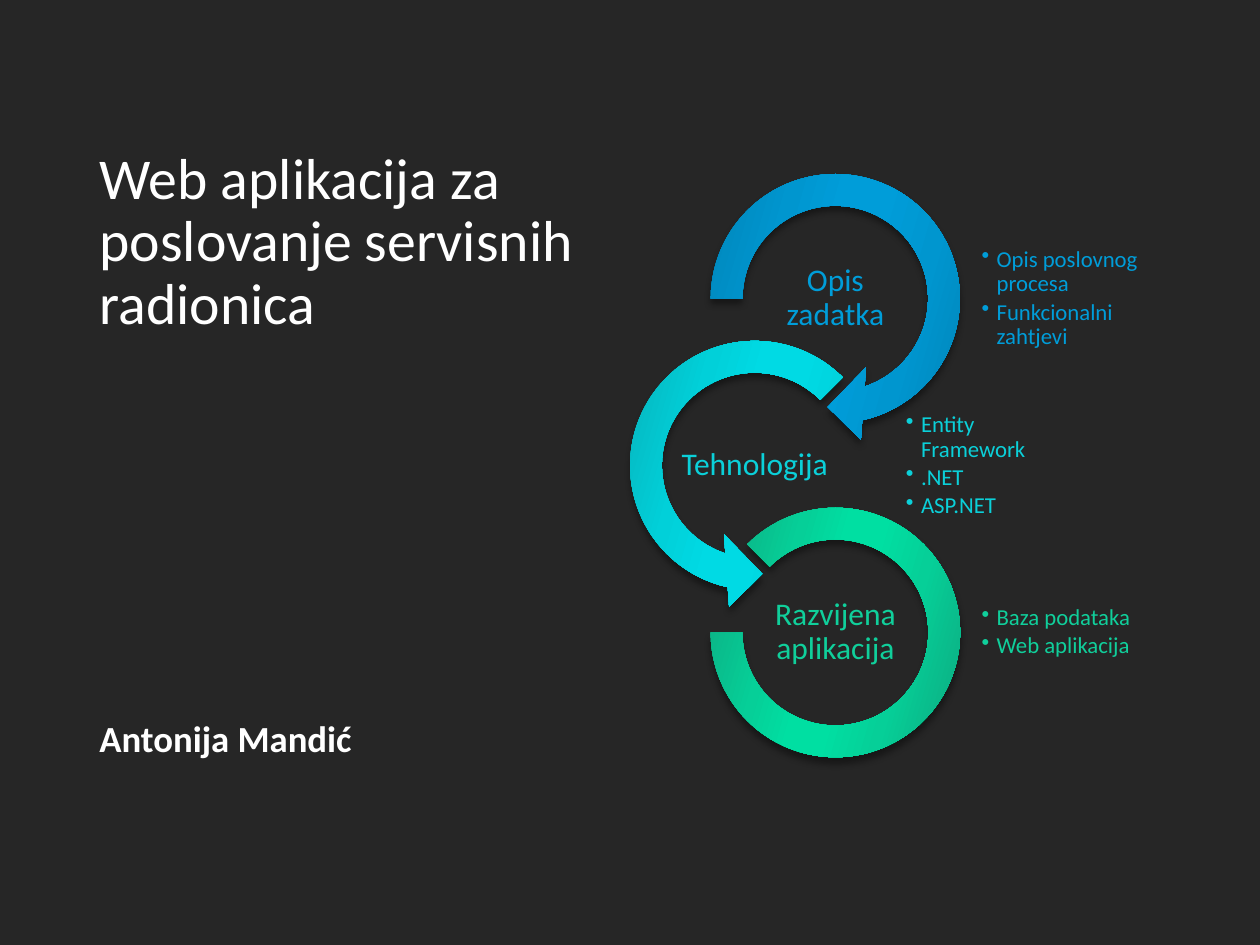
from dataclasses import dataclass
from typing import Any

from pptx import Presentation, util as u
from pptx.dml.color import RGBColor
from pptx.enum import shapes, text
from pptx.oxml import parse_xml
from pptx.oxml.ns import nsdecls, qn

# Grid: 100 columns by 75 rows over the slide
COLS, ROWS = 100, 75
FONT = "Calibri"
INK = {
    "back": "262626", "white": "FFFFFF", "shade": "000000",
    "blue": "009DD9", "cyan": "0BD0D9", "green": "10CF9B",
}
# Edge, middle and centre tone of each ring
TONES = {
    "blue": ("0080B2", "0096CF", "009DD9"),
    "cyan": ("09AAB2", "01D0D9", "00DAE4"),
    "green": ("0DA97F", "06CF98", "00DFA2"),
}
STOPS = ((0, 0), (30, 1), (45, 2), (55, 2), (73, 1), (100, 0))
PITCH = 13.25


@dataclass
class Step:
    kind: Any
    adj: tuple[float, ...]
    mid: float      # centre column of the ring
    size: float     # side of the ring's frame
    note: tuple[float, float, float]  # left, width, height of the bullets
    hue: str
    label: str
    items: tuple[str, ...]


KIND = shapes.MSO_SHAPE
STEPS = (
    Step(KIND.CIRCULAR_ARROW, (0.1098, 11.42322, 45, 108, 0.125), 66.3, 23,
         (77.8, 13.8, 9.2), "blue", "Opis zadatka",
         ("Opis poslovnog procesa", "Funkcionalni zahtjevi")),
    Step(KIND.LEFT_CIRCULAR_ARROW, (0.1098, 11.42322, 63, 189, 0.125), 59.9, 23,
         (71.8, 12.9, 9.2), "cyan", "Tehnologija",
         ("Entity Framework", ".NET", "ASP.NET")),
    Step(KIND.BLOCK_ARC, (135, 108, 0.1274), 66.3, 19.8,
         (77.8, 13.8, 9.2), "green", "Razvijena aplikacija",
         ("Baza podataka", "Web aplikacija")),
)

deck = Presentation()
deck.slide_width, deck.slide_height = u.Inches(10), u.Inches(7.5)
slide = deck.slides.add_slide(deck.slide_layouts[5])


def place(x: float, y: float, w: float, h: float) -> tuple[int, ...]:
    """Turn columns and rows into slide lengths."""
    col, row = deck.slide_width / COLS, deck.slide_height / ROWS
    return tuple(round(n) for n in (x * col, y * row, w * col, h * row))


def apply(item: Any, form: dict[str, Any]) -> None:
    for name, value in form.items():
        setattr(item, name, value)


def write(frame: Any, lines: tuple[str, ...], size: float, ink: str,
          form: dict[str, Any], bold: bool = False) -> None:
    """Fill a text frame, one paragraph per line."""
    for i, line in enumerate(lines):
        para = frame.add_paragraph() if i else frame.paragraphs[0]
        para.text = line
        apply(para, form)
        for run in para.runs:
            apply(run.font, {"name": FONT, "size": u.Pt(size), "bold": bold})
            run.font.color.rgb = RGBColor.from_string(INK[ink])


def add_box(area: tuple[float, ...], lines: tuple[str, ...], size: float,
            ink: str, form: dict[str, Any]) -> Any:
    """Add a tightly inset, middle-anchored text box."""
    frame = slide.shapes.add_textbox(*place(*area)).text_frame
    pad = u.Inches(0.01)
    apply(frame, {
        "word_wrap": True, "vertical_anchor": text.MSO_ANCHOR.MIDDLE,
        "margin_left": pad, "margin_right": pad,
        "margin_top": pad, "margin_bottom": pad,
    })
    write(frame, lines, size, ink, form)
    return frame


def add_ring(step: Step, mid: float) -> None:
    half = step.size / 2
    ring = slide.shapes.add_shape(
        step.kind, *place(step.mid - half, mid - half, step.size, step.size))
    for i, value in enumerate(step.adj):
        ring.adjustments[i] = value
    ring.line.fill.background()
    # Six-stop gradient
    ring.fill.gradient()
    ring.fill.gradient_angle = 344
    props = ring.element.spPr
    stops = props.find(".//" + qn("a:gsLst"))
    stops.clear()
    for pos, tone in STOPS:
        stops.append(parse_xml(
            f'<a:gs {nsdecls("a")} pos="{pos * 1000}">'
            f'<a:srgbClr val="{TONES[step.hue][tone]}"/></a:gs>'))
    # Soft shadow below
    ring.shadow.inherit = False
    props.find(qn("a:effectLst")).append(parse_xml(
        f'<a:outerShdw {nsdecls("a")} blurRad="{u.Pt(4)}" dist="{u.Pt(3.4)}" '
        f'dir="5400000" rotWithShape="0"><a:srgbClr val="{INK["shade"]}">'
        '<a:alpha val="40000"/></a:srgbClr></a:outerShdw>'))


def add_notes(step: Step, mid: float) -> None:
    left, wide, high = step.note
    frame = add_box((left, mid - high / 2, wide, high), step.items, 13, step.hue,
                    {"level": 1, "line_spacing": 0.9, "space_after": u.Pt(2),
                     "alignment": text.PP_ALIGN.LEFT})
    for para in frame.paragraphs:
        props = para._p.get_or_add_pPr()
        props.set("marL", str(u.Inches(0.12)))
        props.set("indent", str(-u.Inches(0.12)))
        props.append(parse_xml(f'<a:buChar {nsdecls("a")} char="•"/>'))


# Background and title
back = slide.background.fill
back.solid()
back.fore_color.rgb = RGBColor.from_string(INK["back"])
title = slide.shapes.title
apply(title, dict(zip(("left", "top", "width", "height"),
                      place(6.9, 8.3, 86.2, 22))))
apply(title.text_frame, {"word_wrap": True, "auto_size": text.MSO_AUTO_SIZE.NONE,
                         "vertical_anchor": text.MSO_ANCHOR.MIDDLE})
write(title.text_frame, ("Web aplikacija za\vposlovanje servisnih\vradionica",),
      33, "white", {"line_spacing": 0.9, "alignment": text.PP_ALIGN.LEFT})

# Chain of rings with bullets and labels
for i, step in enumerate(STEPS):
    mid = 23.7 + i * PITCH
    add_ring(step, mid)
    add_notes(step, mid)
    add_box((step.mid - 6.4, mid - 3.2, 12.8, 6.4), (step.label,), 18, step.hue,
            {"line_spacing": 0.9, "alignment": text.PP_ALIGN.CENTER})

# Author
author = slide.shapes.add_textbox(*place(6.9, 56.3, 33.4, 4.5)).text_frame
author.word_wrap = True
write(author, ("Antonija Mandić",), 21, "white", {}, bold=True)

deck.save("out.pptx")
